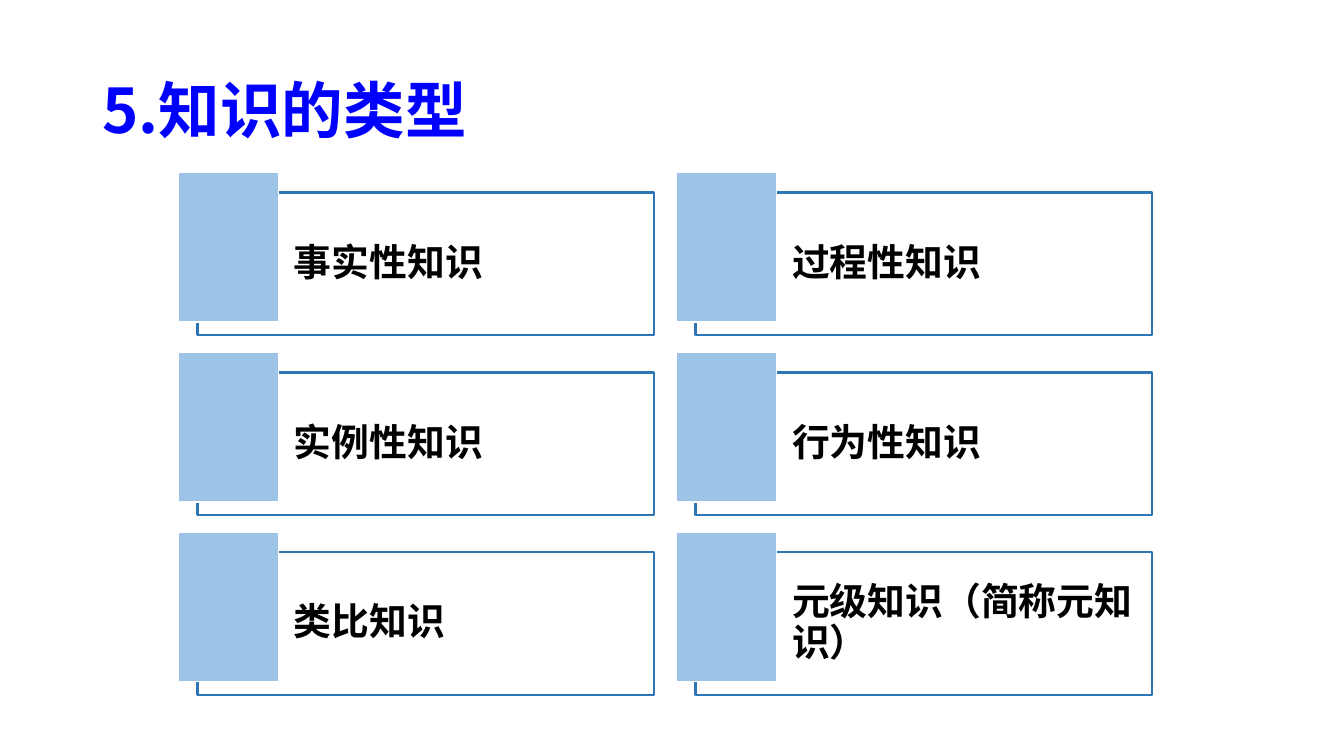
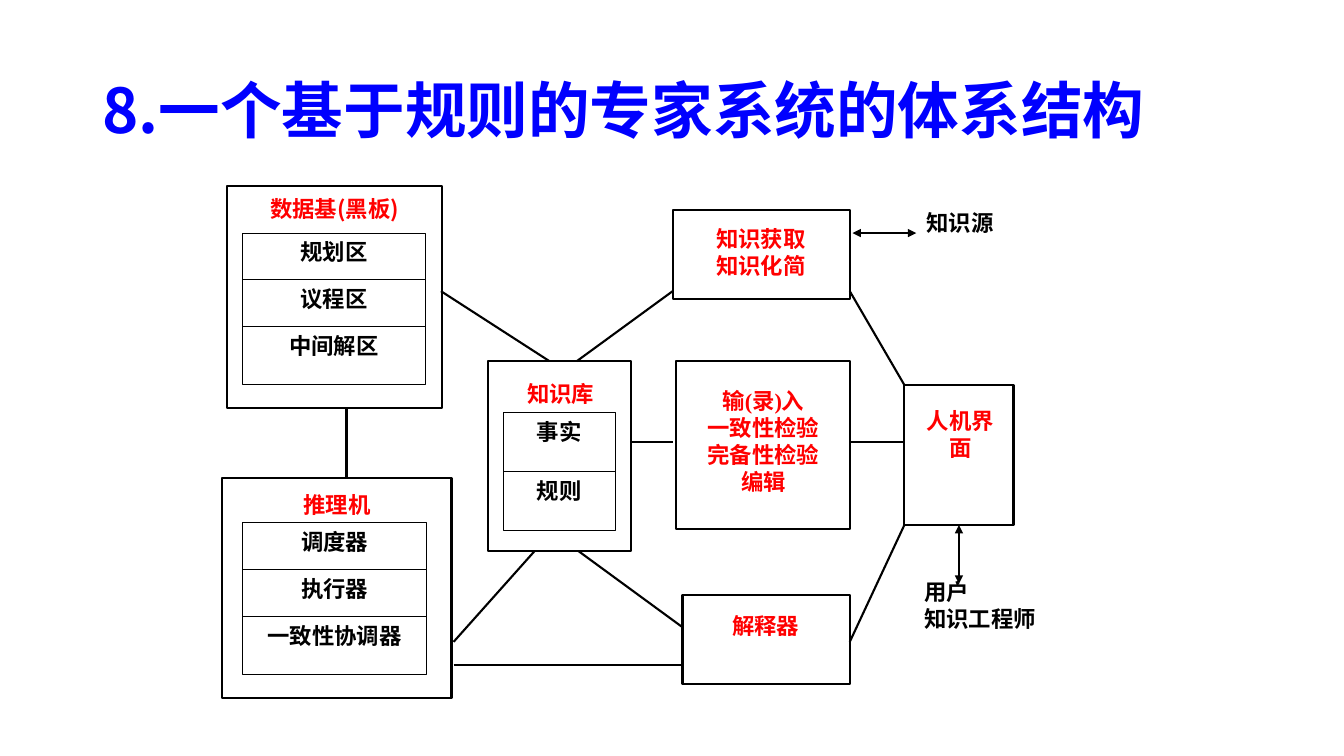
import pptx
import pptx.dml.color
import pptx.enum.shapes
import pptx.enum.text
import pptx.oxml.ns
import pptx.util
from lxml import etree

Pt = pptx.util.Pt
qn = pptx.oxml.ns.qn
ALIGN = pptx.enum.text.PP_ALIGN
MIDDLE = pptx.enum.text.MSO_ANCHOR.MIDDLE
RECT = pptx.enum.shapes.MSO_SHAPE.RECTANGLE
STRAIGHT = pptx.enum.shapes.MSO_CONNECTOR.STRAIGHT

SANS, SERIF = "Noto Sans CJK SC", "Times New Roman"
COLORS = {
    name: pptx.dml.color.RGBColor.from_string(value)
    for name, value in {
        "title": "0000FF", "heading": "FF0000", "black": "000000",
        "white": "FFFFFF", "card": "2E75B6", "accent": "9DC3E6",
    }.items()
}


def add_rect(s, box, line, width):
    sp = s.shapes.add_shape(RECT, *map(Pt, box))
    sp.shadow.inherit = False
    sp.fill.solid()
    sp.fill.fore_color.rgb = COLORS["white"]
    sp.line.color.rgb = COLORS[line]
    sp.line.width = Pt(width)
    return sp


def write(sp, text, size, color, align=ALIGN.LEFT, latin=SANS):
    """Fill a shape with bold top-anchored text, one paragraph per line."""
    tf = sp.text_frame
    tf.word_wrap = True
    tf.vertical_anchor = pptx.enum.text.MSO_ANCHOR.TOP
    tf.text = text
    for p in tf.paragraphs:
        p.alignment = align
        p.font.size = Pt(size)
        p.font.bold = True
        p.font.color.rgb = COLORS[color]
        p.font.name = latin
        defaults = p._p.pPr.find(qn("a:defRPr"))
        etree.SubElement(defaults, qn("a:ea"), typeface=SANS)
    return tf


prs = pptx.Presentation()
prs.slide_width, prs.slide_height = Pt(960), Pt(540)

slides = []
for title in ("5.知识的类型", "8.一个基于规则的专家系统的体系结构"):
    s = prs.slides.add_slide(prs.slide_layouts[6])
    tf = write(s.shapes.add_textbox(Pt(66), Pt(29), Pt(857), Pt(104)), title, 44, "title")
    tf.vertical_anchor = MIDDLE
    tf.paragraphs[0].line_spacing = 0.9
    slides.append(s)
types_slide, system_slide = slides

# Knowledge types: two columns of cards, each with an accent block
knowledge_types = ["事实性知识", "过程性知识", "实例性知识",
                   "行为性知识", "类比知识", "元级知识（简称元知识）"]
for i, name in enumerate(knowledge_types):
    row, col = divmod(i, 2)
    x, y = 127.5 + col * 355.75, 123 + row * 128.5
    card = add_rect(types_slide, (x + 13.5, y + 14.5, 326, 102), "card", 1.75)
    fill_color = card.fill._xPr.find(qn("a:solidFill"))[0]
    etree.SubElement(fill_color, qn("a:alpha"), val="40000")
    tf = write(card, name, 27, "black")
    tf.vertical_anchor = MIDDLE
    tf.margin_left = Pt(69)
    tf.margin_top = tf.margin_right = tf.margin_bottom = Pt(8)
    tf.paragraphs[0].line_spacing = 0.9
    accent = add_rect(types_slide, (x, y, 71.5, 107), "white", 1)
    accent.fill.fore_color.rgb = COLORS["accent"]

# Expert system modules: frame, heading area, heading
modules = [
    ((646, 275, 78, 100), (652.5, 287.5, 67, 75), "人机界面"),
    ((483, 258, 124.5, 120), (492, 273, 106.5, 90), "输(录)入\n一致性检验\n完备性检验\n编辑"),
    ((480.5, 150, 126.5, 63.5), (489, 157.5, 109, 47.5), "知识获取\n知识化简"),
    ((158.5, 341.5, 164, 157), (168, 347, 145.5, 26.5), "推理机"),
    ((162, 133, 153.5, 158.5), (173, 136, 132, 30), "数据基(黑板)"),
    ((487.5, 425, 119.5, 63.5), (496, 433.5, 102, 47.5), "解释器"),
    ((348.5, 258, 102, 135.5), (356.5, 268, 88, 44.5), "知识库"),
]
frames, headings = {}, {}
for frame, area, heading in modules:
    frames[heading] = add_rect(system_slide, frame, "black", 1.5)
    headings[heading] = write(add_rect(system_slide, area, "white", 1.5),
                              heading, 16, "heading", ALIGN.CENTER)

# The brackets of the input heading are set in the serif font
p = headings[modules[1][2]].paragraphs[0]
p.clear()
for piece in "输(录)入":
    r = p.add_run()
    r.text = piece
    if piece in "()":
        r.font.name = SERIF

# Stacked parts inside modules: left, top, width, (part, height)
stacks = [
    (173.5, 373.5, 131, [("调度器", 33.5), ("执行器", 33.5), ("一致性协调器", 41.5)]),
    (173, 166.5, 131, [("规划区", 33.5), ("议程区", 33.5), ("中间解区", 41.5)]),
    (359.5, 295, 80, [("事实", 42), ("规则", 42)]),
]
for x, y, w, parts in stacks:
    for part, h in parts:
        cell = add_rect(system_slide, (x, y, w, h), "black", 0.75)
        write(cell, part, 16, "black", ALIGN.CENTER)
        y += h

# Links between modules, then the two double arrows to the outside
links = [
    (247.5, 291.5, 247.5, 341.5), (450.5, 316, 480.5, 316),
    (324, 475, 487.5, 475), (607, 208, 646, 275),
    (607.5, 316, 646, 316), (607, 458.5, 646, 375),
    (315, 208, 392.5, 258), (480.5, 208, 412, 258),
    (324, 458.5, 382, 393.5), (413, 393.5, 487.5, 448),
]
arrows = [(609, 166.5, 654.5, 166.5), (685, 375, 685, 417)]
for ends in links + arrows:
    link = system_slide.shapes.add_connector(STRAIGHT, *map(Pt, ends))
    link.line.color.rgb = COLORS["black"]
    link.line.width = Pt(1.5)
    if ends in arrows:
        for tag in ("a:headEnd", "a:tailEnd"):
            etree.SubElement(link.line._get_or_add_ln(), qn(tag), type="triangle")
    etree.SubElement(link._element.spPr, qn("a:effectLst"))
link.begin_connect(frames["人机界面"], 2)

for box, text, align in (
    ((643, 146, 85.5, 42), "知识源", ALIGN.CENTER),
    ((653, 409.5, 108, 74), "用户\n知识工程师", ALIGN.JUSTIFY),
):
    label = system_slide.shapes.add_textbox(*map(Pt, box))
    write(label, text, 16, "black", align, SERIF)

prs.save("out.pptx")
